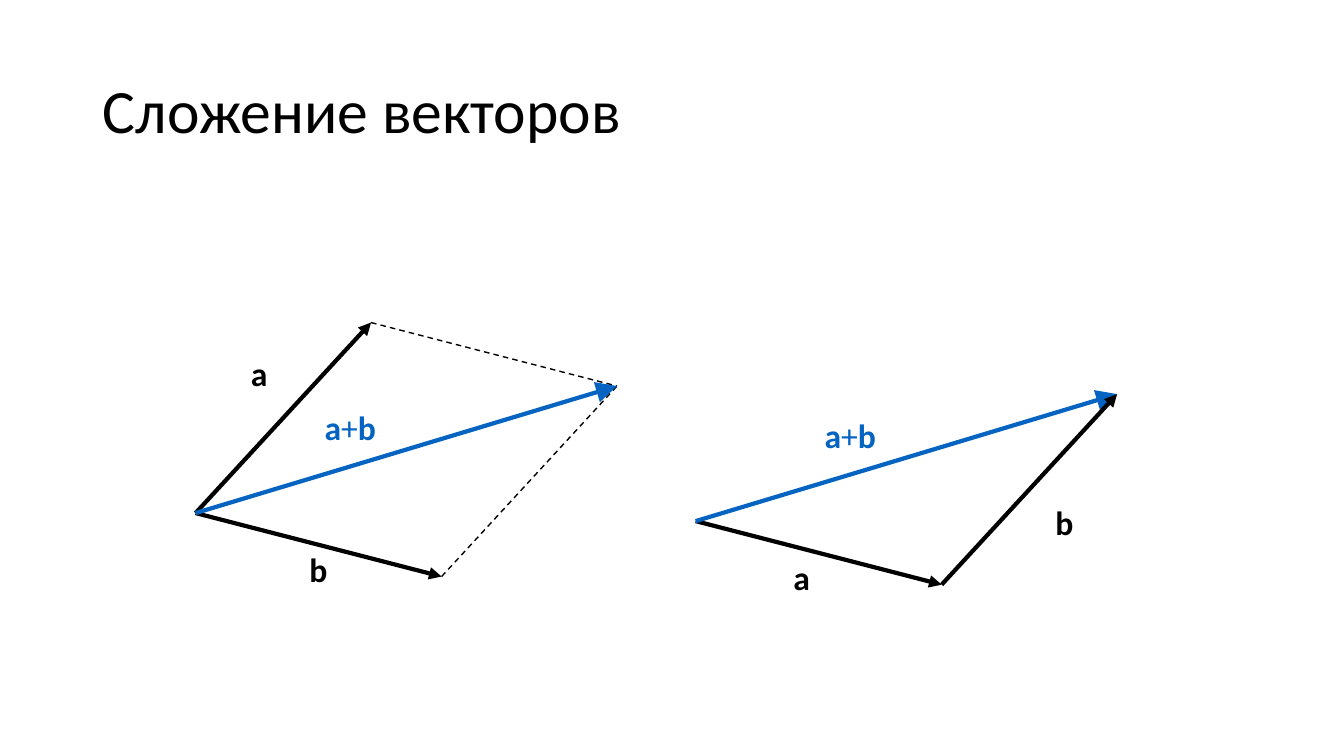
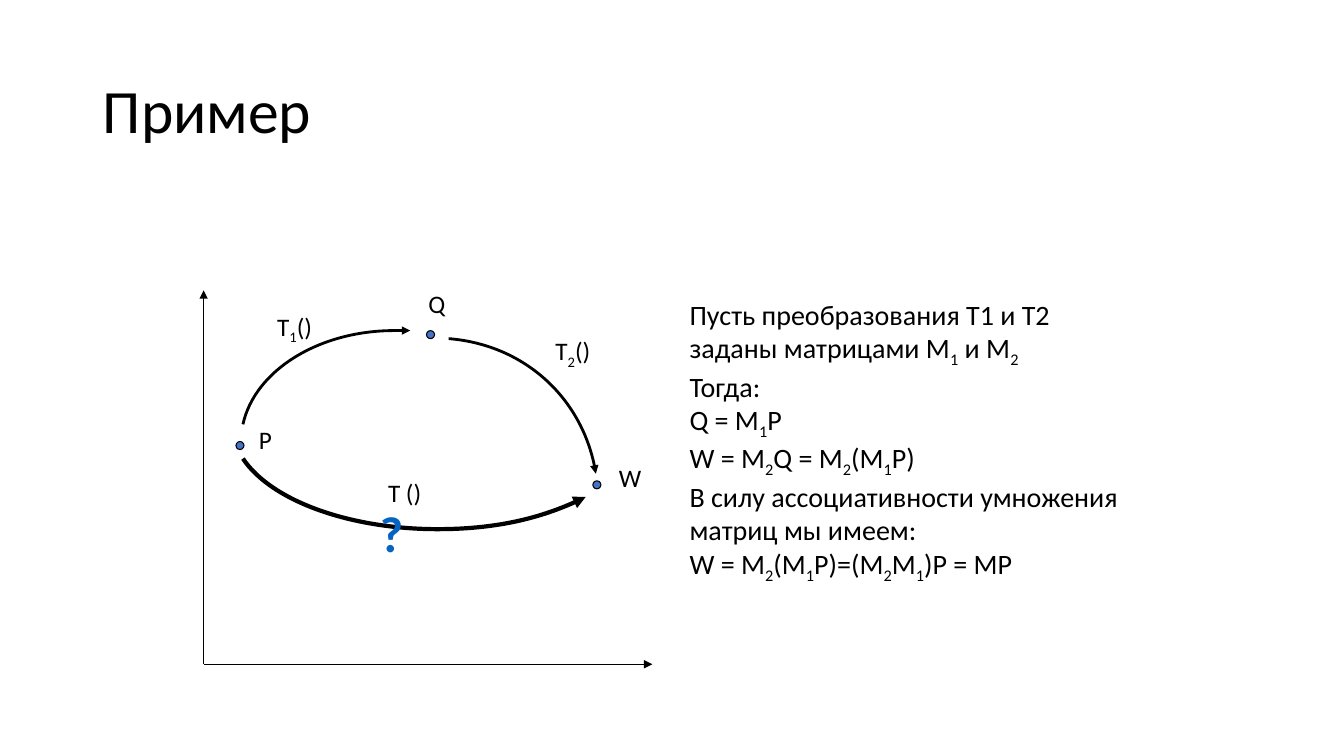
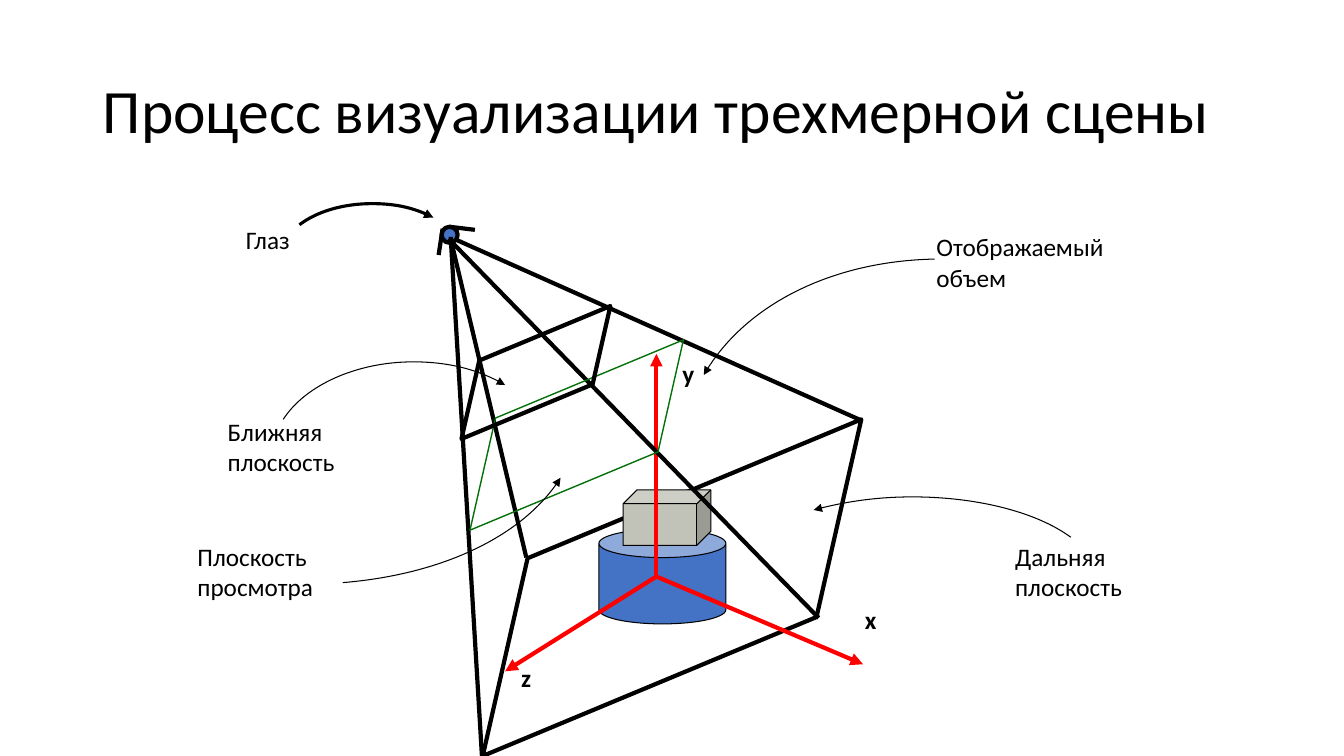
"""Builds three slides on vectors, composed transforms and 3D viewing."""
from itertools import groupby

from lxml.etree import SubElement
from pptx import Presentation
from pptx.dml.color import RGBColor
from pptx.enum.dml import MSO_LINE
from pptx.enum.shapes import MSO_CONNECTOR, MSO_SHAPE
from pptx.enum.text import MSO_ANCHOR, MSO_AUTO_SIZE, PP_ALIGN
from pptx.oxml.ns import qn
from pptx.util import Pt

PX = 9144
FONT = "Calibri"
BLACK = RGBColor(0x00, 0x00, 0x00)
ACCENT = RGBColor(0x05, 0x63, 0xC1)
BLUE = RGBColor(0x44, 0x72, 0xC4)
STONE = RGBColor(0xC1, 0xC3, 0xB9)
RED = RGBColor(0xFF, 0x00, 0x00)
GREEN = RGBColor(0x04, 0x70, 0x09)
TITLE_BOX = (92, 40, 1150, 145)
PLANE_TILT = 157.4


def emu(lengths):
    return [length * PX for length in lengths]


def add(point, *vectors):
    return tuple(map(sum, zip(point, *vectors)))


def write(frame, text, size=18, color=BLACK, bold=False, plain="", spacing=None):
    """Fill a frame: newline ends a paragraph, | breaks a line, _ lowers one character."""
    for index, content in enumerate(text.split("\n")):
        paragraph = frame.add_paragraph() if index else frame.paragraphs[0]
        paragraph.alignment = PP_ALIGN.LEFT
        paragraph.line_spacing = spacing
        for number, row in enumerate(content.split("|")):
            if number:
                paragraph.add_line_break()
            first, *others = row.split("_")
            pieces = [(first, False)]
            for other in others:
                pieces += [(other[0], True), (other[1:], False)]
            for piece, lowered in pieces:
                for is_plain, letters in groupby(piece, lambda letter: letter in plain):
                    run = paragraph.add_run()
                    run.text = "".join(letters)
                    run.font.name = FONT
                    run.font.size = Pt(size)
                    run.font.color.rgb = color
                    run.font.bold = bold and not is_plain
                    if lowered:
                        run._r.get_or_add_rPr().set("baseline", "-25000")


class Deck:
    """Holds the shared style and the current slide."""

    def __init__(self):
        self.file = Presentation()
        self.file.slide_width, self.file.slide_height = emu((1333, 750))
        self.shapes = None

    def slide(self, heading):
        self.shapes = self.file.slides.add_slide(self.file.slide_layouts[5]).shapes
        title = self.shapes.title
        title.left, title.top, title.width, title.height = emu(TITLE_BOX)
        frame = title.text_frame
        frame.vertical_anchor = MSO_ANCHOR.MIDDLE
        frame.auto_size = MSO_AUTO_SIZE.NONE
        write(frame, heading, size=44, spacing=0.9)

    def label(self, box, text, wrap=False, **style):
        frame = self.shapes.add_textbox(*emu(box)).text_frame
        frame.word_wrap = wrap
        frame.auto_size = MSO_AUTO_SIZE.SHAPE_TO_FIT_TEXT
        write(frame, text, **style)

    def stroke(self, line, color, weight, arrow=None):
        line.color.rgb = color
        line.width = Pt(weight)
        if arrow:
            SubElement(line._get_or_add_ln(), qn("a:tailEnd"),
                       type="triangle", w=arrow, len=arrow)

    def line(self, start, end, color=BLACK, weight=3, arrow=None, dashed=False):
        connector = self.shapes.add_connector(MSO_CONNECTOR.STRAIGHT, *emu(start + end))
        if dashed:
            connector.line.dash_style = MSO_LINE.DASH
        self.stroke(connector.line, color, weight, arrow)
        SubElement(connector._element.spPr, qn("a:effectLst"))

    def shape(self, kind, box, fill=None, color=BLACK, weight=0.75, turn=0, adjust=None):
        figure = self.shapes.add_shape(kind, *emu(box))
        figure.shadow.inherit = False
        figure.rotation = turn
        if adjust is not None:
            figure.adjustments[0] = adjust
        if fill is None:
            figure.fill.background()
        else:
            figure.fill.solid()
            figure.fill.fore_color.rgb = fill
        self.stroke(figure.line, color, weight)

    def plane(self, box, adjust, color=BLACK, weight=3):
        self.shape(MSO_SHAPE.PARALLELOGRAM, box, color=color, weight=weight,
                   turn=PLANE_TILT, adjust=adjust)

    def curve(self, start, *controls, weight=0.75):
        """Draw an arrow along cubic curves, three control points for each."""
        builder = self.shapes.build_freeform(*start, scale=PX)
        builder.add_line_segments(controls, close=False)
        figure = builder.convert_to_shape()
        figure.shadow.inherit = False
        figure.fill.background()
        self.stroke(figure.line, BLACK, weight, "med")
        outline = figure._element.find(".//" + qn("a:path"))
        segments = outline.findall(qn("a:lnTo"))
        for index in range(0, len(segments), 3):
            bend = SubElement(outline, qn("a:cubicBezTo"))
            for segment in segments[index:index + 3]:
                bend.append(segment[0])
                outline.remove(segment)


def vector_addition(deck):
    deck.slide("Сложение векторов")
    rising, falling = (174, -189), (244, 63)

    origin = (194, 509)
    upper, lower = add(origin, rising), add(origin, falling)
    total = add(origin, rising, falling)
    for tip in (upper, lower):
        deck.line(origin, tip, arrow="med")
    for tip in (lower, upper):
        deck.line(tip, total, weight=1, dashed=True)
    deck.line(origin, total, ACCENT, arrow="lg")

    origin = (690, 517)
    corner, total = add(origin, falling), add(origin, falling, rising)
    deck.line(origin, corner, arrow="med")
    deck.line(origin, total, ACCENT, arrow="lg")
    deck.line(corner, total, arrow="med")

    for x, y, name in ((239, 345, "a"), (297, 540, "b"), (777, 548, "a"), (1037, 493, "b")):
        deck.label((x, y, 40, 50), name, size=24, bold=True)
    for x, y in ((312, 399), (808, 407)):
        deck.label((x, y, 85, 50), "a+b", size=24, color=ACCENT, bold=True, plain="+")


def transform_example(deck):
    deck.slide("Пример")
    origin = (202, 659)
    for axis_end in ((647, 659), (202, 288)):
        deck.line(origin, axis_end, weight=0.75, arrow="med")
    for x, y in ((234, 438), (423, 328), (588, 477)):
        deck.shape(MSO_SHAPE.OVAL, (x, y, 8, 8), BLUE)

    deck.curve((241, 421), (253, 367), (317, 328), (391, 328),
               (397, 328), (402, 328), (407, 328), weight=2)
    deck.curve((445, 336), (520, 342), (580, 398), (591, 470), weight=2)
    deck.curve((241, 455), (269, 497), (347, 525), (434, 525),
               (490, 525), (542, 513), (581, 493), weight=3)

    for x, y, width, name in (
        (247, 416, 34, "P"), (415, 281, 38, "Q"), (604, 454, 43, "W"),
        (265, 304, 63, "T_1()"), (375, 469, 59, "T ()"), (541, 328, 63, "T_2()"),
    ):
        deck.label((x, y, width, 40), name)
    deck.label((367, 493, 48, 70), "?", size=36, color=ACCENT, bold=True)
    deck.label(
        (674, 290, 465, 307),
        "Пусть преобразования T1 и T2 заданы матрицами M_1 и M_2\n"
        "Тогда:\n"
        "Q = M_1P\n"
        "W = M_2Q = M_2(M_1P)\n"
        "В силу ассоциативности умножения матриц мы имеем:\n"
        "W = M_2(M_1P)=(M_2M_1)P = MP",
        wrap=True, size=20)


def scene_viewing(deck):
    deck.slide("Процесс визуализации трехмерной сцены")
    deck.plane((429, 501, 475, 164), 0.71)
    deck.line((447, 237), (522, 553))
    deck.line((446, 235), (854, 417))

    deck.shape(MSO_SHAPE.CAN, (594, 525, 126, 94), BLUE, adjust=0.3)
    deck.shape(MSO_SHAPE.CUBE, (618, 486, 87, 55), STONE, adjust=0.25)
    deck.shape(MSO_SHAPE.OVAL, (438, 225, 16, 16), BLUE, weight=3)
    deck.line((439, 227), (435, 253))
    deck.line((446, 225), (471, 228))

    for axis_end in ((651, 351), (501, 666), (856, 659)):
        deck.line((651, 572), axis_end, RED, arrow="med")
    for x, y, name in ((507, 652, "z"), (667, 351, "y"), (848, 595, "x")):
        deck.label((x, y, 34, 40), name, bold=True)

    deck.line((445, 237), (812, 613))
    deck.line((447, 235), (478, 750))
    deck.plane((438, 385, 268, 93), 0.71, GREEN, 1)
    deck.plane((438, 337, 187, 65), 0.71)

    deck.label((216, 408, 136, 70), "Ближняя|плоскость")
    deck.label((997, 532, 136, 70), "Дальняя|плоскость")
    deck.label((919, 225, 220, 70), "Отображаемый объем", wrap=True)
    deck.label((186, 532, 160, 70), "Плоскость просмотра", wrap=True)
    deck.label((234, 218, 74, 40), "Глаз")

    deck.curve((281, 416), (303, 382), (354, 359), (410, 359),
               (443, 359), (476, 367), (501, 382))
    deck.curve((1062, 533), (1028, 508), (969, 493), (905, 493),
               (871, 493), (836, 498), (807, 506))
    deck.curve((927, 257), (826, 259), (737, 304), (698, 372))
    deck.curve((340, 578), (438, 570), (521, 530), (556, 474))
    deck.curve((297, 223), (314, 210), (340, 202), (369, 202),
               (391, 202), (414, 207), (430, 216), weight=2.25)


def main():
    deck = Deck()
    vector_addition(deck)
    transform_example(deck)
    scene_viewing(deck)
    deck.file.save("out.pptx")


if __name__ == "__main__":
    main()
